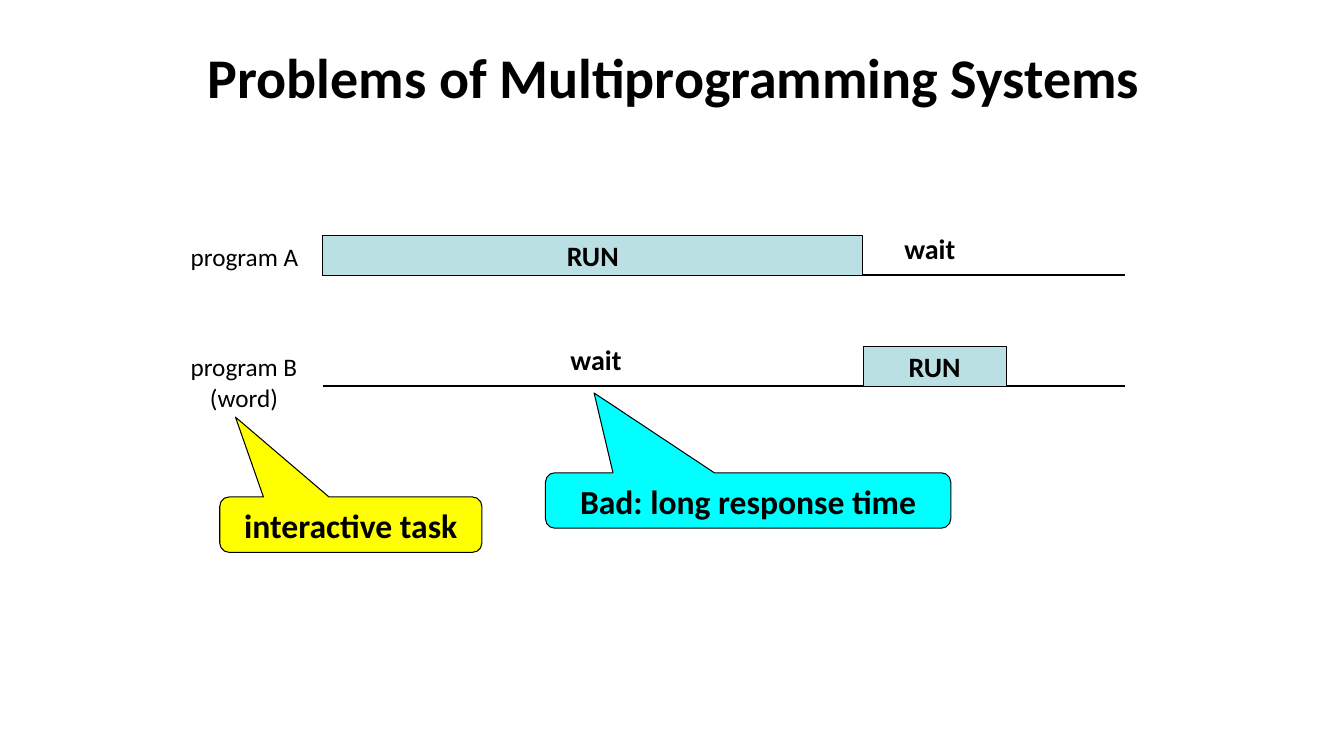
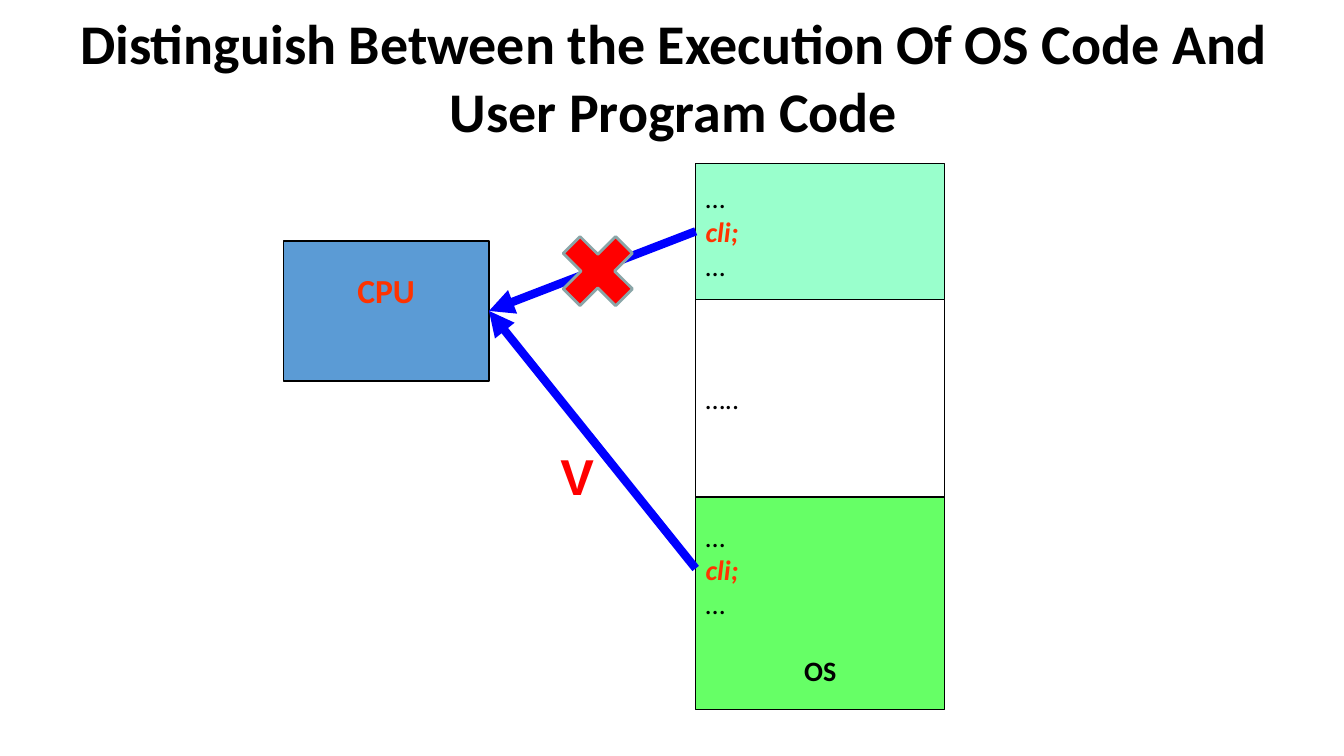
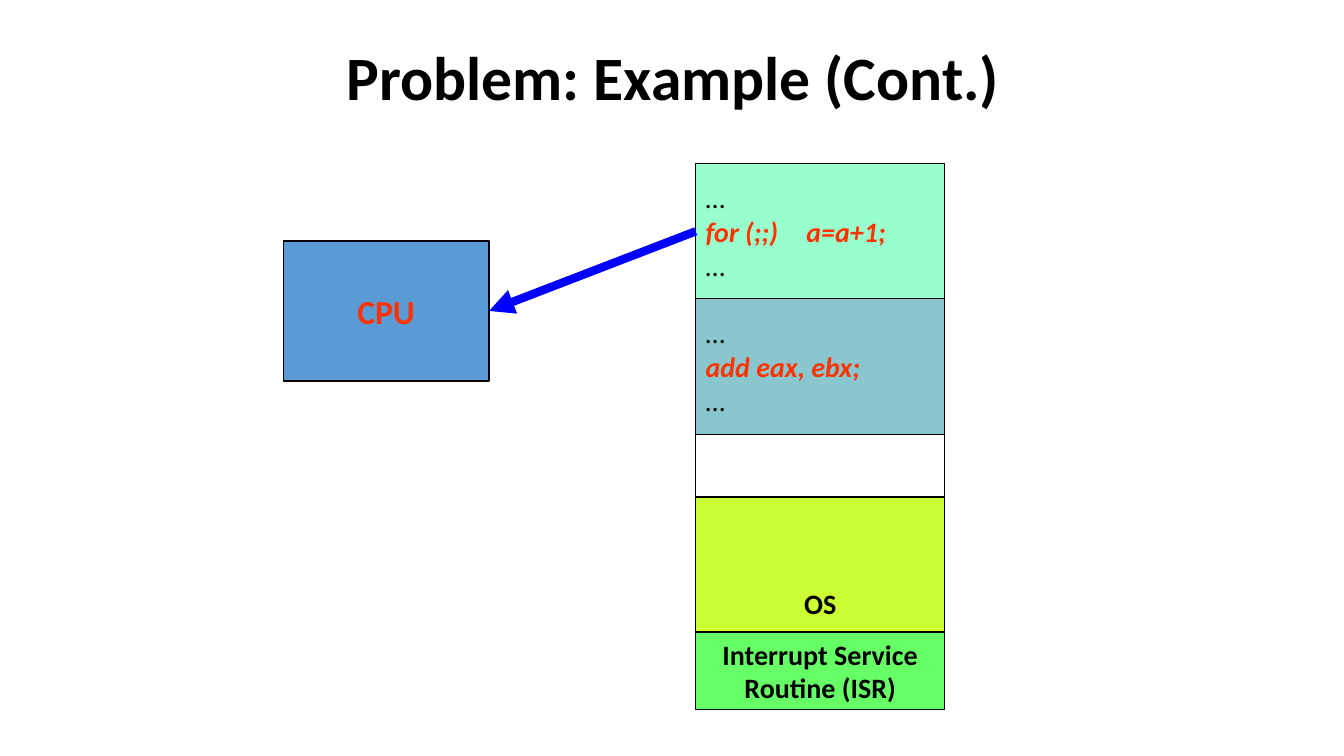
"""Build three slides on multiprogramming, privileged code and interrupts."""
from dataclasses import dataclass

from lxml import etree
from pptx import Presentation, util as u
from pptx.dml.color import RGBColor
from pptx.enum import shapes, text
from pptx.oxml.ns import qn

PX = 9144
SHAPE = shapes.MSO_SHAPE
LEFT, CENTER = text.PP_ALIGN.LEFT, text.PP_ALIGN.CENTER
TOP, MIDDLE = text.MSO_ANCHOR.TOP, text.MSO_ANCHOR.MIDDLE


@dataclass(frozen=True)
class Style:
    size: int
    align: int = CENTER
    color: str = "000000"
    bold: bool = True
    italic: bool = False
    font: str = "Calibri"
    before: int = 0


class Theme:
    ink, arrow, code, alert = "000000", "0000FF", "FF3300", "FF0000"
    run, user, other, free = "BBE0E3", "99FFCC", "8AC6CD", "FFFFFF"
    system, service, cpu = "CCFF33", "66FF66", "5B9BD5"
    task, response, cross_edge = "FFFF00", "00FFFF", "8AA6A8"
    title, title_large = Style(40), Style(44)
    label, strong, callout = Style(18, bold=False), Style(20), Style(24)
    wait = Style(20, LEFT)
    dots = Style(20, LEFT, bold=False)
    instruction = Style(20, LEFT, code, italic=True)
    system_name = Style(20, before=24)
    processor = Style(24, color=code)
    mark = Style(36, LEFT, alert, font="Arial")


def listing(code):
    return [("…", Theme.dots), (code, Theme.instruction), ("…", Theme.dots)]


TITLE_BOX = (68, 13, 1200, 125)
AXIS = (320, 1116)
BAR_HEIGHT = 39
TIMELINES = [
    {"baseline": 273, "label": ["program A"], "label_box": (129, 40),
     "run": (320, 536), "wait": 887},
    {"baseline": 383, "label": ["program B", "(word)"], "label_box": (128, 70),
     "run": (856, 142), "wait": 556},
]
CALLOUTS = [
    ("interactive task", (218, 493, 260, 55), Theme.task, -0.44),
    ("Bad: long response time", (541, 469, 402, 55), Theme.response, -0.38),
]
CALLOUT_TIP, CALLOUT_CORNER = -1.94, 0.17

MEMORY_LEFT, MEMORY_WIDTH = 690, 247
CPU_BOX = (281, 239, 204, 139)
CPU_RIGHT = (485, 308)
USER_START, SYSTEM_START = (690, 230), (690, 564)
PRIVILEGED_MEMORY = [
    (162, 135, Theme.user, listing("cli;")),
    (297, 196, Theme.free, [("…..", Theme.dots)]),
    (493, 211, Theme.service, listing("cli;") + [("OS", Theme.system_name)]),
]
INTERRUPT_MEMORY = [
    (162, 135, Theme.user, listing("for (;;)\ta=a+1;")),
    (297, 196, Theme.free, []),
    (493, 211, Theme.system, [("OS", Theme.strong)]),
    (627, 77, Theme.service, [("Interrupt Service", Theme.strong),
                              ("Routine (ISR)", Theme.strong)]),
    (296, 135, Theme.other, listing("add eax, ebx;")),
]


def emu(lengths):
    return [u.Emu(length * PX) for length in lengths]


def write(shape, paragraphs, anchor=MIDDLE, wrap=True):
    frame = shape.text_frame
    frame.word_wrap = wrap
    frame.vertical_anchor = anchor
    for index, (words, style) in enumerate(paragraphs):
        paragraph = frame.add_paragraph() if index else frame.paragraphs[0]
        paragraph.text = words
        paragraph.alignment = style.align
        paragraph.space_before = u.Pt(style.before)
        font = paragraph.font
        font.name, font.size = style.font, u.Pt(style.size)
        font.bold, font.italic = style.bold, style.italic
        font.color.rgb = RGBColor.from_string(style.color)


def add_label(slide, box, paragraphs):
    shape = slide.shapes.add_textbox(*emu(box))
    write(shape, paragraphs, TOP, wrap=False)
    shape.text_frame.auto_size = text.MSO_AUTO_SIZE.SHAPE_TO_FIT_TEXT


def add_box(slide, box, fill, paragraphs=(), kind=SHAPE.RECTANGLE,
            edge=Theme.ink, weight=1, anchor=MIDDLE):
    shape = slide.shapes.add_shape(kind, *emu(box))
    shape.shadow.inherit = False
    shape.fill.solid()
    shape.fill.fore_color.rgb = RGBColor.from_string(fill)
    shape.line.color.rgb = RGBColor.from_string(edge)
    shape.line.width = u.Pt(weight)
    write(shape, paragraphs, anchor)
    return shape


def add_line(slide, start, end, color=Theme.ink, weight=1):
    line = slide.shapes.add_connector(
        shapes.MSO_CONNECTOR.STRAIGHT, *emu(start + end))
    line.line.color.rgb = RGBColor.from_string(color)
    line.line.width = u.Pt(weight)
    etree.SubElement(line._element.spPr, qn("a:effectLst"))
    return line


def add_arrow(slide, start, cpu, source=None):
    arrow = add_line(slide, start, CPU_RIGHT, Theme.arrow, 6)
    outline = arrow._element.spPr.find(qn("a:ln"))
    etree.SubElement(outline, qn("a:tailEnd"), type="triangle")
    if source:
        arrow.begin_connect(source, 1)
    arrow.end_connect(cpu, 3)


def add_slide(presentation, title, style=Theme.title):
    slide = presentation.slides.add_slide(presentation.slide_layouts[6])
    write(slide.shapes.add_textbox(*emu(TITLE_BOX)), [(title, style)])
    return slide


def add_machine(slide, memory):
    blocks = [add_box(slide, (MEMORY_LEFT, top, MEMORY_WIDTH, height), fill, lines)
              for top, height, fill, lines in memory]
    cpu = add_box(slide, CPU_BOX, Theme.cpu, [("CPU", Theme.processor)])
    add_arrow(slide, USER_START, cpu, blocks[0])
    return cpu


def build_timelines(presentation):
    slide = add_slide(presentation, "Problems of Multiprogramming Systems")
    for row in TIMELINES:
        baseline = row["baseline"]
        top = baseline - BAR_HEIGHT
        left, width = row["run"]
        add_line(slide, (AXIS[0], baseline), (AXIS[1], baseline))
        add_box(slide, (left, top, width, BAR_HEIGHT), Theme.run,
                [("RUN", Theme.strong)], weight=0.75)
        add_label(slide, (178, top, *row["label_box"]),
                  [(words, Theme.label) for words in row["label"]])
        add_label(slide, (row["wait"], baseline - 48, 71, 43),
                  [("wait", Theme.wait)])
    for words, box, fill, tip in CALLOUTS:
        callout = add_box(slide, box, fill, [(words, Theme.callout)],
                          SHAPE.ROUNDED_RECTANGULAR_CALLOUT, weight=0.75, anchor=TOP)
        for index, value in enumerate((tip, CALLOUT_TIP, CALLOUT_CORNER)):
            callout.adjustments[index] = value


def build_privileged(presentation):
    slide = add_slide(presentation, "Distinguish Between the Execution Of OS Code "
                                    "And User Program Code")
    cpu = add_machine(slide, PRIVILEGED_MEMORY)
    cpu.text_frame.margin_bottom = u.Emu(46 * PX)
    add_box(slide, (543, 219, 100, 100), Theme.alert, kind=SHAPE.MATH_MULTIPLY,
            edge=Theme.cross_edge, weight=2)
    add_arrow(slide, SYSTEM_START, cpu)
    add_label(slide, (546, 437, 54, 71), [("V", Theme.mark)])


def build_interrupt(presentation):
    slide = add_slide(presentation, "Problem: Example (Cont.)", Theme.title_large)
    add_machine(slide, INTERRUPT_MEMORY)


def main():
    presentation = Presentation()
    presentation.slide_width, presentation.slide_height = emu((1333, 750))
    build_timelines(presentation)
    build_privileged(presentation)
    build_interrupt(presentation)
    presentation.save("out.pptx")


if __name__ == "__main__":
    main()
